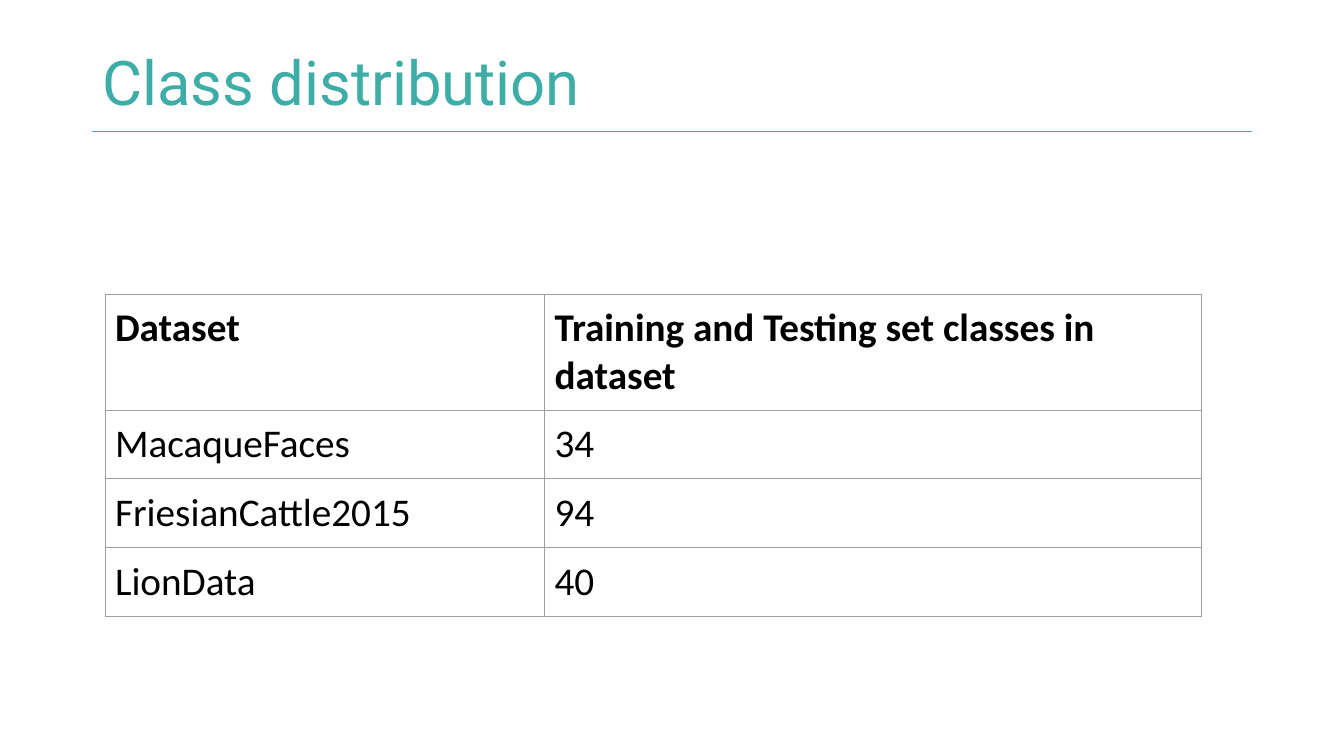
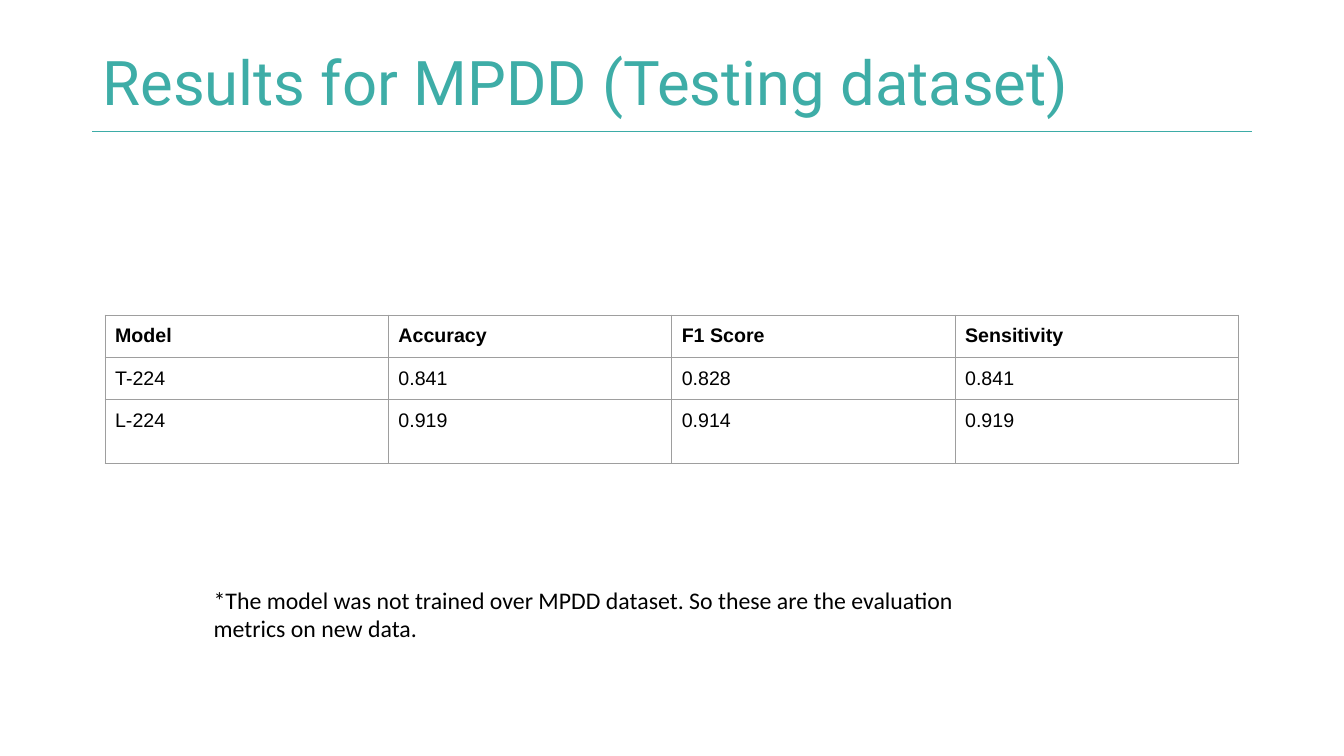
from dataclasses import dataclass

from lxml.etree import SubElement
from pptx import Presentation
from pptx.dml.color import RGBColor as Color
from pptx.enum.shapes import MSO_CONNECTOR as Connector
from pptx.enum.text import MSO_ANCHOR as Anchor
from pptx.oxml import parse_xml
from pptx.oxml.ns import nsdecls, qn
from pptx.util import Pt


@dataclass(frozen=True)
class Theme:
    title: str = "3EADA7"
    rule: str = "3DACA7"
    border: str = "9E9E9E"
    ink: str = "000000"
    title_font: str = "Roboto"
    body_font: str = "Calibri"
    data_font: str = "Arial"
    title_size: float = 44
    large_size: float = 28
    note_size: float = 17
    small_size: float = 14
    line_width: float = 0.75
    inset: float = 7.2


THEME = Theme()
PAGE_SIZE = (960, 540)
TITLE_BOX = (66, 28.8, 744, 64.8)
RULE_BOX = (66, 93.6, 828, 0)


def points(box):
    return [Pt(value) for value in box]


def write(frame, text, size, font, color=THEME.ink, bold=False, spacing=None):
    """Put one formatted paragraph into a text frame."""
    para = frame.paragraphs[0]
    para.line_spacing = spacing
    span = para.add_run()
    span.text = text
    span.font.size = Pt(size)
    span.font.name = font
    span.font.bold = bold
    span.font.color.rgb = Color.from_string(color)


def set_insets(target, across, down):
    target.margin_left = target.margin_right = Pt(across)
    target.margin_top = target.margin_bottom = Pt(down)


def add_page(deck, title):
    """Title-only page with the shared heading and rule."""
    page = deck.slides.add_slide(deck.slide_layouts[5])

    # Heading
    heading = page.shapes.title
    heading.left, heading.top, heading.width, heading.height = points(TITLE_BOX)
    frame = heading.text_frame
    frame.word_wrap = True
    frame.vertical_anchor = Anchor.MIDDLE
    set_insets(frame, THEME.inset, THEME.inset / 2)
    write(frame, title, THEME.title_size, THEME.title_font, THEME.title, spacing=0.9)
    align_left(frame)

    # Rule under the heading
    left, top, width, height = points(RULE_BOX)
    rule = page.shapes.add_connector(
        Connector.STRAIGHT, left, top, left + width, top + height)
    rule.line.color.rgb = Color.from_string(THEME.rule)
    rule.line.width = Pt(THEME.line_width)
    SubElement(rule._element.spPr, qn("a:effectLst"))
    return page


def align_left(frame):
    for para in frame.paragraphs:
        para._p.get_or_add_pPr().set("algn", "l")


def add_borders(cell):
    """Line all four sides; border elements come before the fill."""
    properties = cell._tc.get_or_add_tcPr()
    for index, side in enumerate("LRTB"):
        properties.insert(index, parse_xml(
            f'<a:ln{side} {nsdecls("a")} w="{Pt(THEME.line_width)}">'
            f'<a:solidFill><a:srgbClr val="{THEME.border}"/></a:solidFill>'
            f'</a:ln{side}>'))


def add_data_table(page, origin, widths, heights, rows, size, font):
    """Plain ruled table with a bold first row."""
    box = (*origin, sum(widths), sum(heights))
    table = page.shapes.add_table(len(rows), len(widths), *points(box)).table
    table.first_row = table.horz_banding = False
    for column, width in zip(table.columns, widths):
        column.width = Pt(width)
    for row_index, (values, height) in enumerate(zip(rows, heights)):
        table.rows[row_index].height = Pt(height)
        for column_index, value in enumerate(values):
            cell = table.cell(row_index, column_index)
            cell.fill.background()
            add_borders(cell)
            set_insets(cell, THEME.inset, THEME.inset)
            write(cell.text_frame, value, size, font, bold=row_index == 0)


def add_note(page, box, text):
    frame = page.shapes.add_textbox(*points(box)).text_frame
    frame.word_wrap = True
    set_insets(frame, THEME.inset, THEME.inset)
    write(frame, text, THEME.note_size, THEME.body_font)


def build_distribution(deck):
    page = add_page(deck, "Class distribution")
    rows = [
        ("Dataset", "Training and Testing set classes in dataset"),
        ("MacaqueFaces", "34"),
        ("FriesianCattle2015", "94"),
        ("LionData", "40"),
    ]
    add_data_table(page, (75, 210), (314, 469.5), (82, 49.2, 49.2, 49.2), rows,
                   THEME.large_size, THEME.body_font)


def build_results(deck):
    page = add_page(deck, "Results for MPDD (Testing dataset)")
    rows = [
        ("Model", "Accuracy", "F1 Score", "Sensitivity"),
        ("T-224", "0.841", "0.828", "0.841"),
        ("L-224", "0.919", "0.914", "0.919"),
    ]
    add_data_table(page, (75, 225), (202.4,) * 4, (30.2, 30.2, 45.4), rows,
                   THEME.small_size, THEME.data_font)
    add_note(page, (145.5, 411, 586, 55.5),
             "*The model was not trained over MPDD dataset. "
             "So these are the evaluation metrics on new data.")


def main():
    deck = Presentation()
    deck.slide_width, deck.slide_height = points(PAGE_SIZE)
    build_distribution(deck)
    build_results(deck)
    deck.save("out.pptx")


if __name__ == "__main__":
    main()
